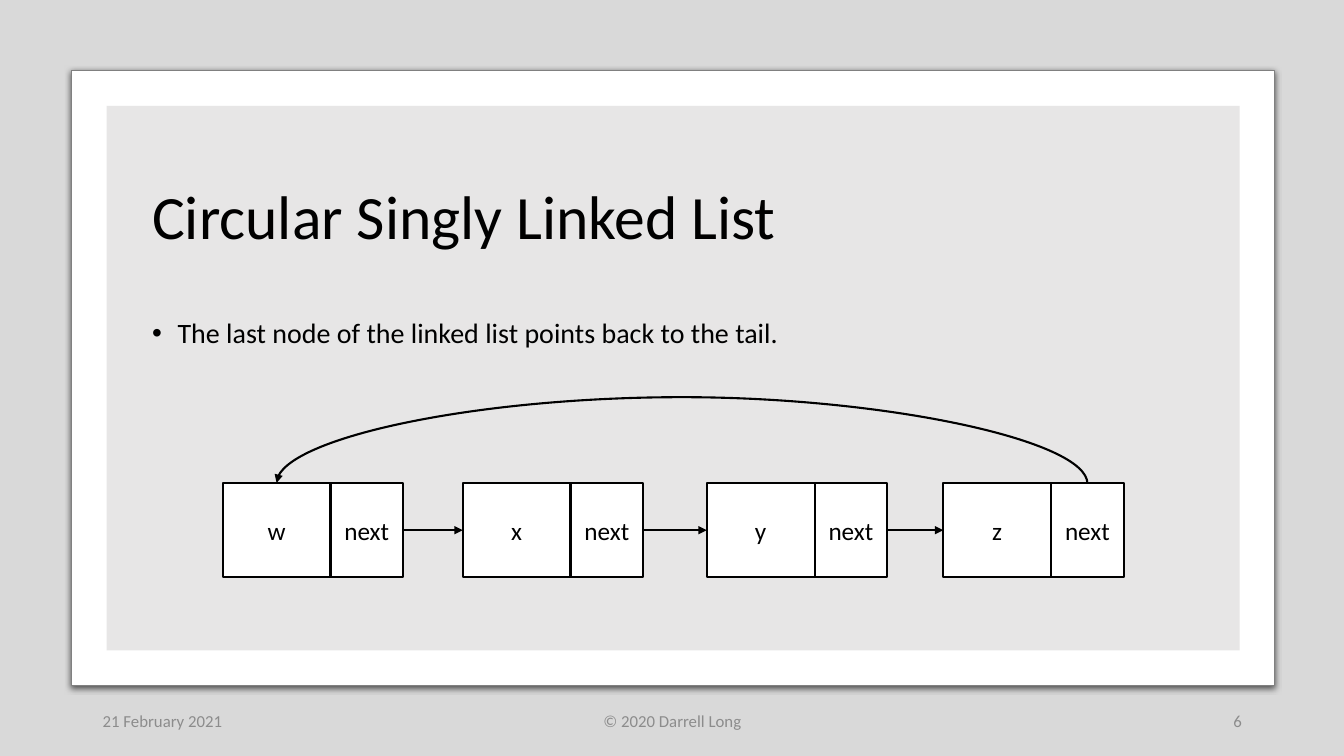
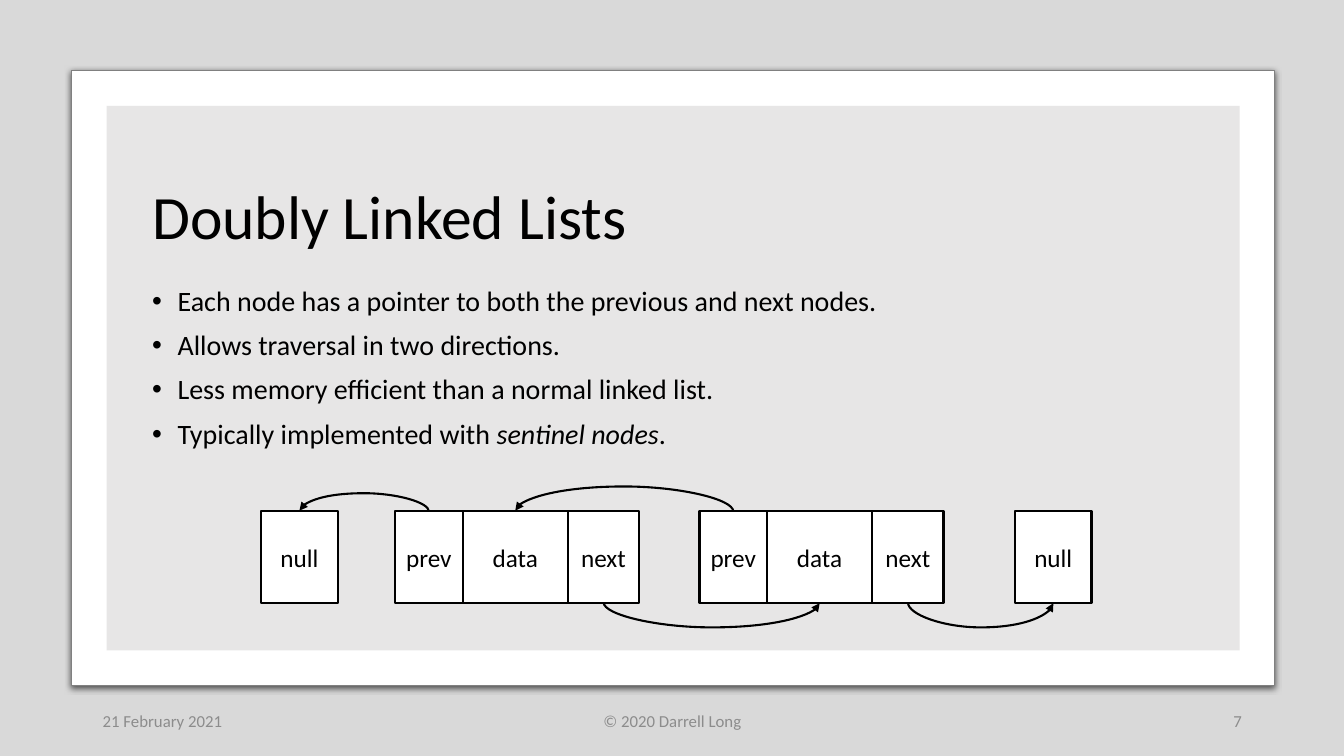
"""Build two slides on circular and doubly linked lists."""
import pptx
import pptx.dml.color
import pptx.enum.shapes
import pptx.enum.text
import pptx.oxml
import pptx.oxml.ns
import pptx.util

Cm = pptx.util.Cm
Pt = pptx.util.Pt
RGB = pptx.dml.color.RGBColor
ALIGN = pptx.enum.text.PP_ALIGN
ANCHOR = pptx.enum.text.MSO_ANCHOR
CONNECTOR = pptx.enum.shapes.MSO_CONNECTOR
RECT = pptx.enum.shapes.MSO_SHAPE.RECTANGLE

BLACK = RGB(0x00, 0x00, 0x00)
WHITE = RGB(0xFF, 0xFF, 0xFF)
BACKDROP = RGB(0xD9, 0xD9, 0xD9)
PANEL = RGB(0xE7, 0xE6, 0xE6)
EDGE = RGB(0x80, 0x80, 0x80)
MUTED = RGB(0x8C, 0x8C, 0x8C)
FONT = "Calibri"

TOP, LEFT, BOTTOM, RIGHT = range(4)
BODY_BOTTOM = 15.47
ARC_DEPTH = 0.02
CELL_WIDTHS = {"prev": 1.7, "data": 2.65, "null": 1.93}

SINGLE = {"w": 2.72, "x": 2.72, "y": 2.72, "z": 2.72, "next": 1.83}
DOUBLE = {"prev": 1.7, "data": 2.65, "next": 1.8, "null": 1.93}

SLIDES = [
    {
        "title": "Circular Singly Linked List",
        "number": "6",
        "body_top": 7.92,
        "bullets": [["The last node of the linked list points back to the tail."]],
        "node_top": 12.18,
        "node_height": 2.36,
        "widths": SINGLE,
        "nodes": [
            (5.61, ["w", "next"]),
            (11.66, ["x", "next"]),
            (17.81, ["y", "next"]),
            (23.77, ["z", "next"]),
        ],
        "links": [(0, 1), (1, 2), (2, 3)],
        "arcs": [((3, 1), (0, 0), TOP, 2.18)],
    },
    {
        "title": "Doubly Linked Lists",
        "number": "7",
        "body_top": 7.11,
        "bullets": [
            ["Each node has a pointer to both the previous and next nodes."],
            ["Allows traversal in two directions."],
            ["Less memory efficient than a normal linked list."],
            ["Typically implemented with ", "sentinel nodes", "."],
        ],
        "node_top": 12.88,
        "node_height": 2.31,
        "widths": DOUBLE,
        "nodes": [
            (6.58, ["null"]),
            (9.96, ["prev", "data", "next"]),
            (17.63, ["prev", "data", "next"]),
            (25.58, ["null"]),
        ],
        "links": [],
        "arcs": [
            ((1, 0), (0, 0), TOP, 0.46),
            ((2, 0), (1, 1), TOP, 0.63),
            ((1, 2), (2, 1), BOTTOM, 0.63),
            ((2, 2), (3, 0), BOTTOM, 0.63),
        ],
    },
]


def add_xml(parent, tag, **attrs):
    """Append a DrawingML element and return it."""
    child = pptx.oxml.parse_xml(f'<a:{tag} {pptx.oxml.ns.nsdecls("a")}/>')
    for name, value in attrs.items():
        child.set(name, str(value))
    parent.append(child)
    return child


def write(tf, paragraphs, size=18, color=BLACK, align=ALIGN.LEFT, anchor=ANCHOR.MIDDLE,
          line=1.0, before=0, after=0, bullet=False):
    """Write paragraphs, each a list of runs in which every second run is italic."""
    tf.word_wrap = True
    tf.auto_size = pptx.enum.text.MSO_AUTO_SIZE.NONE
    tf.vertical_anchor = anchor
    for i, runs in enumerate(paragraphs):
        p = tf.add_paragraph() if i else tf.paragraphs[0]
        if bullet:
            pPr = p._p.get_or_add_pPr()
            pPr.set("marL", str(Cm(0.64)))
            pPr.set("indent", str(-Cm(0.64)))
            add_xml(pPr, "buFont", typeface="Arial")
            add_xml(pPr, "buChar", char="•")
        p.alignment = align
        p.line_spacing = line
        p.space_before = Pt(before if i else 0)
        p.space_after = Pt(after)
        for j, text in enumerate(runs):
            r = p.add_run()
            r.text = text
            r.font.name = FONT
            r.font.size = Pt(size)
            r.font.color.rgb = color
            r.font.italic = j % 2 == 1


def add_box(slide, x, y, w, h, fill, line=None, width=1.5):
    """Add a filled rectangle with an optional outline."""
    sp = slide.shapes.add_shape(RECT, Cm(x), Cm(y), Cm(w), Cm(h))
    sp.shadow.inherit = False
    sp.fill.solid()
    sp.fill.fore_color.rgb = fill
    if line is None:
        sp.line.fill.background()
    else:
        sp.line.color.rgb = line
        sp.line.width = Pt(width)
    return sp


def place(sp, x, y, w, h):
    """Set the frame of a shape in centimetres."""
    sp.left, sp.top, sp.width, sp.height = Cm(x), Cm(y), Cm(w), Cm(h)


def add_frame(slide, number):
    """Add the card behind the content and the footer below it."""
    card = add_box(slide, 1.8, 1.78, 30.33, 15.49, WHITE, EDGE, 0.75)
    effects = card._element.spPr.find(pptx.oxml.ns.qn("a:effectLst"))
    shadow = add_xml(effects, "outerShdw", blurRad=Pt(4.5), dist=Pt(1.5), dir=5400000)
    add_xml(add_xml(shadow, "srgbClr", val="000000"), "alpha", val=63000)
    panel = add_box(slide, 2.69, 2.67, 28.55, 13.72, PANEL)
    for i, sp in enumerate((card, panel)):
        slide.shapes._spTree.insert(2 + i, sp._element)
    footers = [
        (2.34, 7.62, "21 February 2021", ALIGN.LEFT),
        (11.23, 11.43, "© 2020 Darrell Long", ALIGN.CENTER),
        (23.93, 7.62, number, ALIGN.RIGHT),
    ]
    for x, w, text, align in footers:
        box = slide.shapes.add_textbox(Cm(x), Cm(17.65), Cm(w), Cm(1.02))
        write(box.text_frame, [[text]], size=12, color=MUTED, align=align, after=6)


def add_node(slide, x, y, h, labels, widths):
    """Add one list node as a row of cells and return the cells."""
    cells = []
    for label in labels:
        cell = add_box(slide, x, y, widths[label], h, WHITE, BLACK)
        cell.text_frame.margin_left = cell.text_frame.margin_right = 0
        write(cell.text_frame, [[label]], align=ALIGN.CENTER)
        cells.append(cell)
        x += widths[label]
    return cells


def add_arrow(slide, kind, source, source_side, target, target_side):
    """Join two cells with an arrow."""
    cxn = slide.shapes.add_connector(kind, 0, 0, 0, 0)
    cxn.begin_connect(source, source_side)
    cxn.end_connect(target, target_side)
    cxn.line.color.rgb = BLACK
    cxn.line.width = Pt(1.5)
    add_xml(cxn.line._get_or_add_ln(), "tailEnd", type="triangle")
    add_xml(cxn._element.spPr, "effectLst")
    return cxn


def add_arc(slide, source, target, side, lift):
    """Join the same side of two cells with an arc that rises by lift."""
    cxn = add_arrow(slide, CONNECTOR.CURVE, source, side, target, side)
    start, end = (c.left + c.width // 2 for c in (source, target))
    edge = source.top + (source.height if side == BOTTOM else 0)
    span = abs(end - start)
    cxn.width, cxn.height = Cm(ARC_DEPTH), span
    cxn.left = (start + end - Cm(ARC_DEPTH)) // 2
    cxn.top = edge - span // 2
    xfrm = cxn._element.spPr.xfrm
    xfrm.set("rot", str(270 * 60000))
    xfrm.set("flipH", str(int(side == BOTTOM)))
    xfrm.set("flipV", str(int(side == TOP)))
    guides = cxn._element.spPr.prstGeom.get_or_add_avLst()
    add_xml(guides, "gd", name="adj1", fmla=f"val {round(lift / ARC_DEPTH * 100000)}")


def build_slide(prs, data):
    """Add one slide with its title, bullets and node diagram."""
    slide = prs.slides.add_slide(prs.slide_layouts[1])
    add_frame(slide, data["number"])
    title, body = slide.placeholders
    place(title, 3.58, 3.56, 26.77, 3.96)
    write(title.text_frame, [[data["title"]]], size=44, line=0.9)
    place(body, 3.58, data["body_top"], 26.77, BODY_BOTTOM - data["body_top"])
    write(body.text_frame, data["bullets"], size=20, anchor=ANCHOR.TOP,
          line=0.9, before=10, bullet=True)
    nodes = [add_node(slide, x, data["node_top"], data["node_height"], labels, data["widths"])
             for x, labels in data["nodes"]]
    for a, b in data["links"]:
        add_arrow(slide, CONNECTOR.STRAIGHT, nodes[a][-1], RIGHT, nodes[b][0], LEFT)
    for (a, i), (b, j), side, lift in data["arcs"]:
        add_arc(slide, nodes[a][i], nodes[b][j], side, lift)


def main():
    """Build and save the presentation."""
    prs = pptx.Presentation()
    prs.slide_width, prs.slide_height = Cm(33.87), Cm(19.05)
    fill = prs.slide_master.background.fill
    fill.solid()
    fill.fore_color.rgb = BACKDROP
    for data in SLIDES:
        build_slide(prs, data)
    prs.save("out.pptx")


if __name__ == "__main__":
    main()
